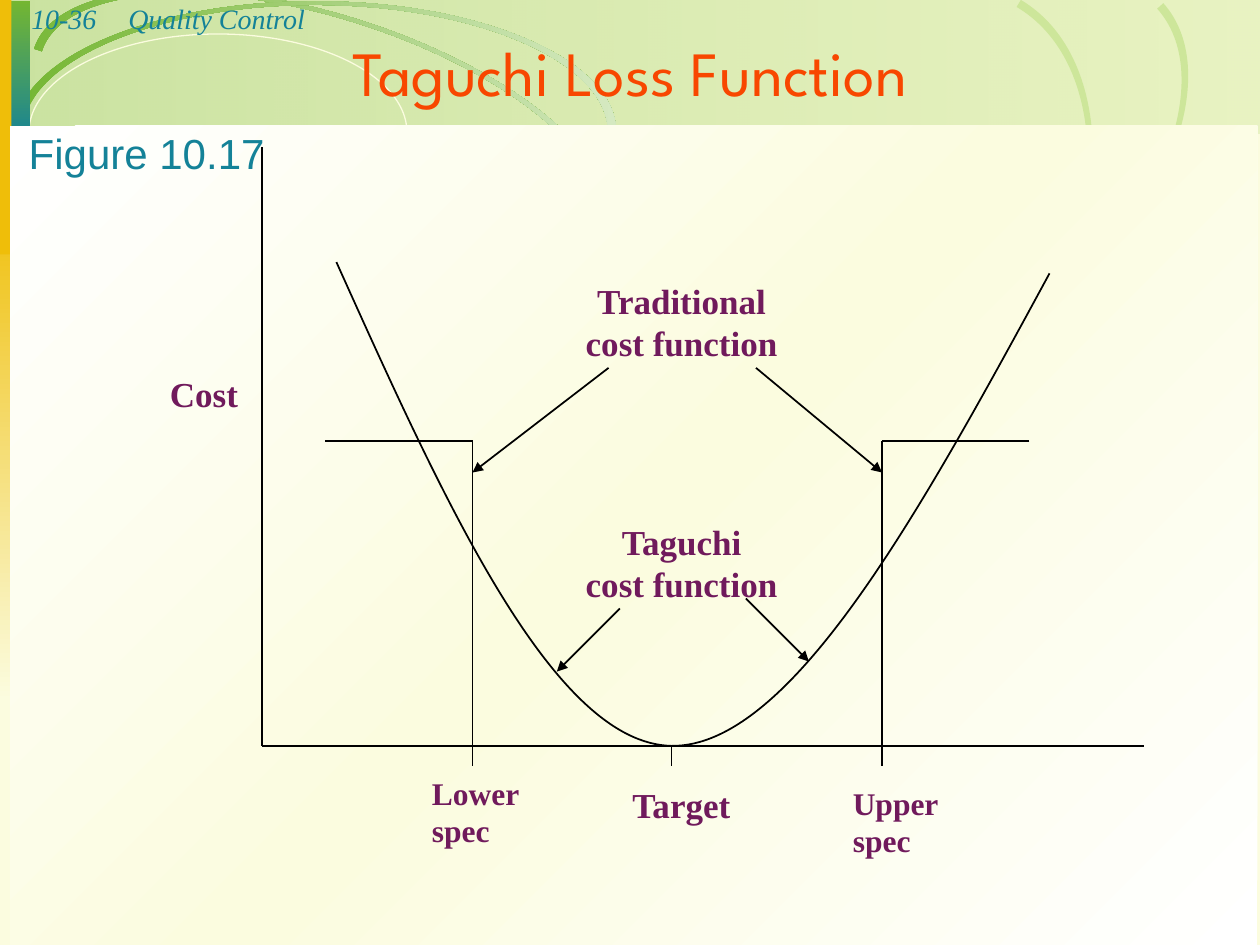
from copy import deepcopy
from lxml import etree
from pptx import Presentation
from pptx.dml.color import RGBColor
from pptx.enum.shapes import MSO_CONNECTOR, MSO_SHAPE
from pptx.enum.text import MSO_ANCHOR, PP_ALIGN
from pptx.oxml.ns import qn
from pptx.util import Pt

RECT, OVAL = MSO_SHAPE.RECTANGLE, MSO_SHAPE.OVAL
LEFT, MID = PP_ALIGN.LEFT, PP_ALIGN.CENTER
PX = 9144  # 100 px to the inch
ROUND = 0.55  # handle length of a quarter ellipse, per radius

HUES = {
    "cream": "FBFCDF", "white": "FFFFFF", "green": "74B632", "lime": "BCDD7B",
    "pale": "D5E9C1", "leaf": "CDE69A", "teal": "148298", "gold": "EFBE09",
    "orange": "F84700", "plum": "701A5C", "black": "000000",
}

BANNER = ((1, 0, 999, 106), ("green", "lime"), 0, (36, 29))
OVAL_BOX = (23, 27, 300, 156)
SIDE = ((0, 155, 22, 401), ("gold", "cream"), 90)
FRONT = [
    ((1, 1, 23, 114), ("green", "teal"), 90),
    ((0, 0, 9, 202), ("gold",), 0),
    ((8, 100, 990, 650), ("white", "cream", "white"), 45),
]
# Half rings: box, side (-1 upper, 1 lower), turn, hues, gradient angle
SWEEP = ((16, 11, 477, 199), -1, 17.5, ("green", "pale"), 342)
LEAVES = [((507, 32, 477, 259), 1, 318.2, ("leaf",)),
          ((450, 52, 477, 306), 1, 300.7, ("leaf",))]
ARCH = ((12, 1, 477, 207), -1, 0, ("green", "pale"))

LOSS_BOX = (267, 208, 567, 385)
LOSS = [(267, 208), (353, 399, 439, 590, 533, 592), (628, 593, 731, 405, 833, 217)]
BASE, STEP, TICK = 592, 350, 608
LOW, AIM, HIGH = 375, 533, 700
LINES = [
    (208, BASE, 908, BASE), (208, BASE, 208, 117),
    (AIM, BASE, AIM, TICK), (LOW, STEP, LOW, TICK), (HIGH, STEP, HIGH, TICK),
    (LOW, STEP, 258, STEP), (817, STEP, HIGH, STEP),
]
ARROWS = [(600, 292, HIGH, 375), (483, 292, LOW, 375),
          (592, 475, 642, 525), (492, 483, 442, 533)]

HEAD = dict(size=16, hue="teal", italic=True)
NOTE = dict(size=20, hue="plum", bold=True)
SPEC = dict(NOTE, size=18)
TEXTS = [
    ("10-36", (15, -4, 80, 37), HEAD),
    ("Quality Control", (92, -4, 858, 37), HEAD),
    ("Taguchi Loss Function", (0, 7, 1000, 100),
     dict(size=36, hue="orange", face="League Spartan", align=MID,
          anchor=MSO_ANCHOR.MIDDLE)),
    ("Cost", (125, 291, 76, 44), NOTE),
    ("Target", (492, 617, 102, 44), NOTE),
    ("Lower\nspec", (333, 609, 96, 70), SPEC),
    ("Upper\nspec", (667, 617, 96, 70), SPEC),
    ("Traditional\ncost function", (454, 217, 174, 77), dict(NOTE, align=MID)),
    ("Taguchi\ncost function", (454, 408, 174, 77), dict(NOTE, align=MID)),
    ("Figure 10.17", (13, 96, 210, 50), dict(size=24, hue="teal", face="Arial")),
]


def rgb(hue):
    return RGBColor.from_string(HUES[hue])


def emu(nums):
    return [round(n * PX) for n in nums]


def paint(shape, hues, angle=0, alphas=()):
    """Fill with one hue, or with an even gradient turned clockwise by angle."""
    fill = shape.fill
    shape.shadow.inherit = False
    if not hues:
        fill.background()
    elif len(hues) == 1:
        fill.solid()
        fill.fore_color.rgb = rgb(hues[0])
    else:
        fill.gradient()
        fill.gradient_angle = -angle % 360
        stops = shape._element.spPr.find(".//" + qn("a:gsLst"))
        while len(stops) < len(hues):
            stops.append(deepcopy(stops[-1]))
        for i, (stop, hue) in enumerate(zip(fill.gradient_stops, hues)):
            stop.position = i / (len(hues) - 1)
            stop.color.rgb = rgb(hue)
        for node, part in zip(stops, alphas):
            etree.SubElement(node[0], qn("a:alpha"), val=str(part * 1000))


def stroke(shape, hue=None, width=1):
    if hue:
        shape.line.color.rgb = rgb(hue)
        shape.line.width = Pt(width)
    else:
        shape.line.fill.background()


def block(shapes, box, hues, angle=0, alphas=(), kind=RECT):
    shape = shapes.add_shape(kind, *emu(box))
    paint(shape, hues, angle, alphas)
    stroke(shape)
    return shape


def outline(shapes, box, parts, close=False):
    """Draw a start point, then lines (2 numbers) and Bezier curves (6)."""
    x, y, w, h = emu(box)
    pen = shapes.build_freeform(x, y)
    pen.add_line_segments([(x + w, y + h)], close=False)
    shape = pen.convert_to_shape()
    route = shape._element.spPr.find(".//" + qn("a:path"))
    for node in list(route):
        route.remove(node)
    for i, part in enumerate(parts):
        tag = "a:moveTo" if i == 0 else "a:lnTo" if len(part) == 2 else "a:cubicBezTo"
        move = etree.SubElement(route, qn(tag))
        nums = emu(part)
        for px, py in zip(nums[::2], nums[1::2]):
            etree.SubElement(move, qn("a:pt"), x=str(px - x), y=str(py - y))
    if close:
        etree.SubElement(route, qn("a:close"))
    return shape


def arc(cx, cy, rx, ry):
    """Half an ellipse from -rx to rx, as two Bezier curves."""
    kx, ky = rx * ROUND, ry * ROUND
    return [(cx - rx, cy + ky, cx - kx, cy + ry, cx, cy + ry),
            (cx + kx, cy + ry, cx + rx, cy + ky, cx + rx, cy)]


def band(shapes, box, side, turn, hues, angle=0):
    x, y, w, h = box
    cx, cy, rx, ry = x + w / 2, y + h / 2, w / 2, h / 2
    inner = rx - 6.5
    parts = [(cx - inner, cy), *arc(cx, cy, inner, side * (ry - 3)),
             (cx + rx, cy), *arc(cx, cy, -rx, side * ry)]
    shape = outline(shapes, box, parts, close=True)
    shape.rotation = turn
    paint(shape, hues, angle)
    stroke(shape)


def link(shapes, ends, arrow=False):
    line = shapes.add_connector(MSO_CONNECTOR.STRAIGHT, *emu(ends))
    stroke(line, "black")
    props = line._element.spPr
    if arrow:
        etree.SubElement(props.find(qn("a:ln")), qn("a:tailEnd"), type="triangle")
    etree.SubElement(props, qn("a:effectLst"))


def write(shapes, text, box, size, hue, face="Times New Roman", bold=False,
          italic=False, align=LEFT, anchor=MSO_ANCHOR.TOP):
    frame = shapes.add_textbox(*emu(box)).text_frame
    frame.word_wrap = box[2] > 300
    frame.vertical_anchor = anchor
    para = frame.paragraphs[0]
    para.text, para.alignment = text, align
    for run in para.runs:
        font = run.font
        font.name, font.size, font.bold, font.italic = face, Pt(size), bold, italic
        font.color.rgb = rgb(hue)


deck = Presentation()
deck.slide_width, deck.slide_height = emu((1000, 750))
slide = deck.slides.add_slide(deck.slide_layouts[6])
slide.background.fill.solid()
slide.background.fill.fore_color.rgb = rgb("cream")
shapes = slide.shapes

block(shapes, *BANNER)
band(shapes, *SWEEP)
stroke(block(shapes, OVAL_BOX, (), kind=OVAL), "cream", 0.75)
block(shapes, *SIDE)
for leaf in LEAVES:
    band(shapes, *leaf)
band(shapes, *ARCH)
for item in FRONT:
    block(shapes, *item)

curve = outline(shapes, LOSS_BOX, LOSS)
paint(curve, ())
stroke(curve, "black")
for ends in LINES:
    link(shapes, ends)
for ends in ARROWS:
    link(shapes, ends, arrow=True)
for text, box, style in TEXTS:
    write(shapes, text, box, **style)
deck.save("out.pptx")
